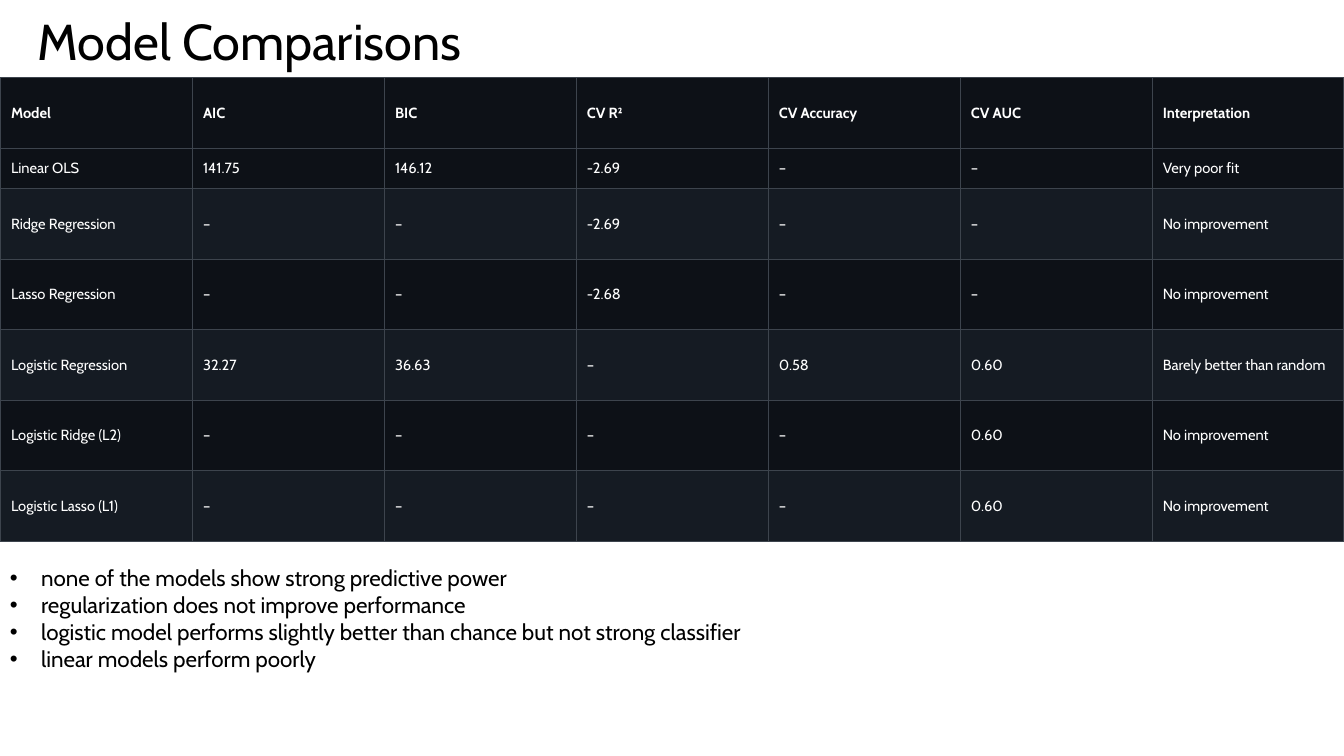
import pptx
import pptx.util
import pptx.dml.color
import pptx.enum.text
import pptx.oxml
import lxml.etree

Inches = pptx.util.Inches
Pt = pptx.util.Pt
RGB = pptx.dml.color.RGBColor.from_string
MIDDLE = pptx.enum.text.MSO_ANCHOR.MIDDLE
LEFT = pptx.enum.text.PP_ALIGN.LEFT
AUTO = pptx.enum.text.MSO_AUTO_SIZE

THEME = {
    "font": "Cabin",
    "ink": "000000",
    "cell_ink": "FFFFFF",
    "band_dark": "0D1117",
    "band_light": "151B23",
    "border": "3D444D",
    "title": 36,
    "cell": 10.5,
    "bullet": 16,
}

ROWS = [
    ["Model", "AIC", "BIC", "CV R²", "CV Accuracy", "CV AUC", "Interpretation"],
    ["Linear OLS", "141.75", "146.12", "-2.69", "–", "–", "Very poor fit"],
    ["Ridge Regression", "–", "–", "-2.69", "–", "–", "No improvement"],
    ["Lasso Regression", "–", "–", "-2.68", "–", "–", "No improvement"],
    ["Logistic Regression", "32.27", "36.63", "–", "0.58", "0.60", "Barely better than random"],
    ["Logistic Ridge (L2)", "–", "–", "–", "–", "0.60", "No improvement"],
    ["Logistic Lasso (L1)", "–", "–", "–", "–", "0.60", "No improvement"],
]
BULLETS = [
    "none of the models show strong predictive power",
    "regularization does not improve performance",
    "logistic model performs slightly better than chance but not strong classifier",
    "linear models perform poorly",
]


def add_run(p, text, size, color, bold=False):
    r = p.add_run()
    r.text = text
    for name, value in {"name": THEME["font"], "size": Pt(size), "bold": bold}.items():
        setattr(r.font, name, value)
    r.font.color.rgb = RGB(color)


def add_borders(cell):
    tc_pr = cell._tc.get_or_add_tcPr()
    for i, side in enumerate(("lnL", "lnR", "lnT", "lnB")):
        ln = pptx.oxml.parse_xml(
            f'<a:{side} xmlns:a="http://schemas.openxmlformats.org/drawingml/2006/main" '
            f'w="{Pt(0.48)}"><a:solidFill><a:srgbClr val="{THEME["border"]}"/>'
            f'</a:solidFill></a:{side}>')
        tc_pr.insert(i, ln)


prs = pptx.Presentation()
prs.slide_width = Inches(13.33)
prs.slide_height = Inches(7.5)
s = prs.slides.add_slide(prs.slide_layouts[5])

title = s.shapes.title
for name, value in {"left": 0.27, "top": -0.29, "width": 11.5, "height": 1.45}.items():
    setattr(title, name, Inches(value))
tf = title.text_frame
for name, value in {"vertical_anchor": MIDDLE, "word_wrap": True, "auto_size": AUTO.NONE}.items():
    setattr(tf, name, value)
p = tf.paragraphs[0]
p.alignment = LEFT
p.line_spacing = 0.9
add_run(p, "Model Comparisons", THEME["title"], THEME["ink"])

table = s.shapes.add_table(len(ROWS), len(ROWS[0]), Inches(0), Inches(0.77),
                           prs.slide_width, Inches(4.6)).table
for i, row in enumerate(ROWS):
    table.rows[i].height = Inches(0.4 if i == 1 else 0.7)
    band = THEME["band_light"] if i > 0 and i % 2 == 0 else THEME["band_dark"]
    for j, text in enumerate(row):
        cell = table.cell(i, j)
        cell.vertical_anchor = MIDDLE
        for name, inset in {"left": 0.11, "right": 0.11, "top": 0.05, "bottom": 0.05}.items():
            setattr(cell, f"margin_{name}", Inches(inset))
        cell.fill.solid()
        cell.fill.fore_color.rgb = RGB(band)
        add_run(cell.text_frame.paragraphs[0], text, THEME["cell"], THEME["cell_ink"], i == 0)
        add_borders(cell)

sp = s.shapes.add_textbox(Inches(0), Inches(5.55), prs.slide_width, Inches(1.18))
tf = sp.text_frame
tf.word_wrap = True
tf.auto_size = AUTO.SHAPE_TO_FIT_TEXT
for i, text in enumerate(BULLETS):
    p = tf.add_paragraph() if i else tf.paragraphs[0]
    add_run(p, text, THEME["bullet"], THEME["ink"])
    p_pr = p._p.get_or_add_pPr()
    for name, value in {"marL": 0.31, "indent": -0.31}.items():
        p_pr.set(name, str(Inches(value)))
    for tag, key, value in (("buFont", "typeface", "Arial"), ("buChar", "char", "•")):
        lxml.etree.SubElement(p_pr, pptx.oxml.ns.qn(f"a:{tag}")).set(key, value)

prs.save("out.pptx")
